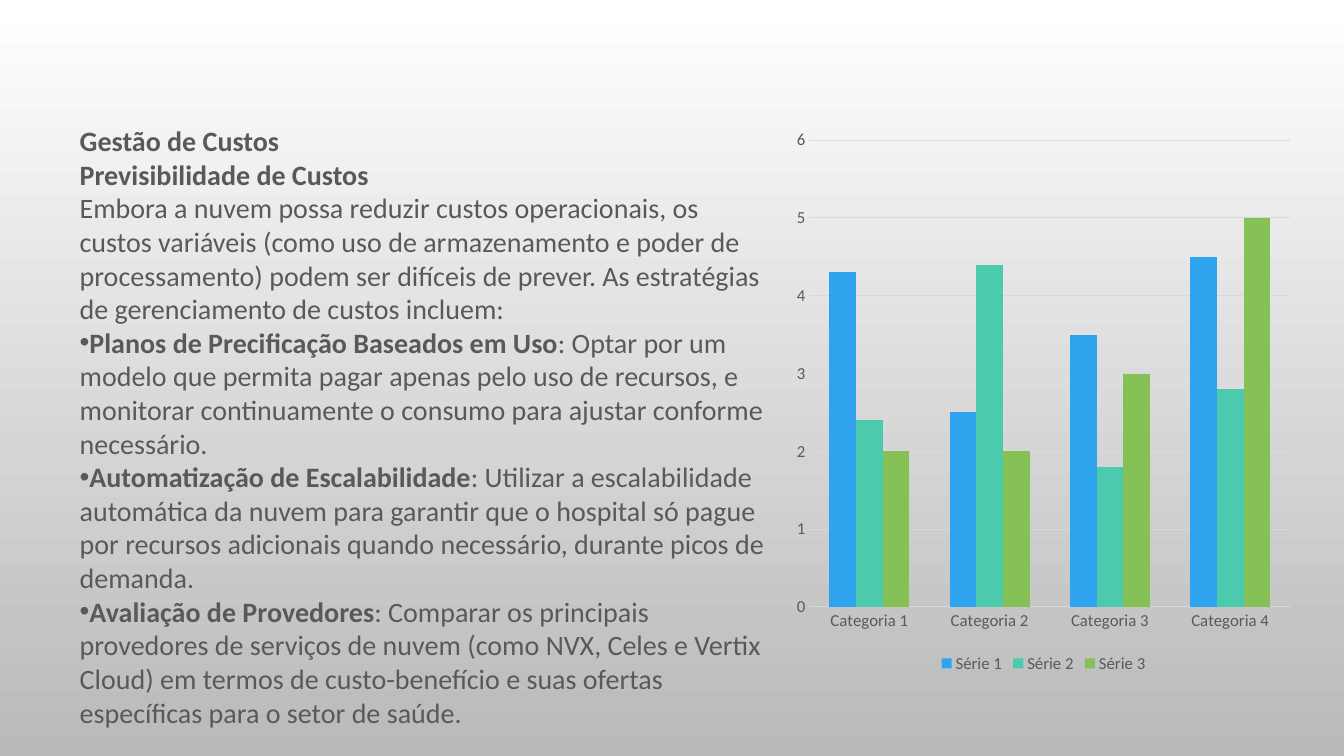
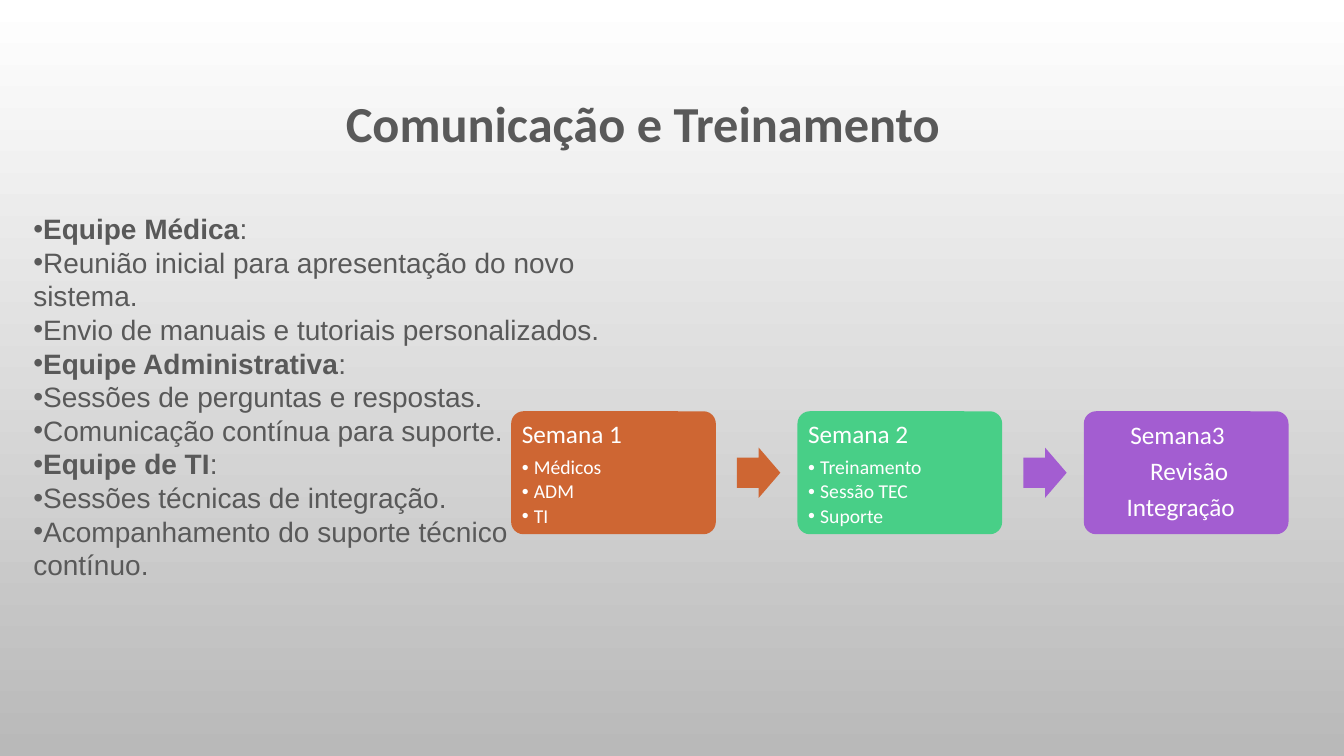
from dataclasses import dataclass

import pptx
import pptx.chart.data
import pptx.dml.color
import pptx.enum.chart
import pptx.enum.shapes
import pptx.enum.text
import pptx.oxml
import pptx.oxml.ns
import pptx.util
from pptx.util import Inches

RGB = pptx.dml.color.RGBColor.from_string
Pt = pptx.util.Pt
ALIGN = pptx.enum.text.PP_ALIGN
ANCHOR = pptx.enum.text.MSO_ANCHOR
SHAPE = pptx.enum.shapes.MSO_SHAPE


@dataclass(frozen=True)
class Theme:
    text: str = "595959"
    white: str = "FFFFFF"
    shade: str = "B9B9B9"
    grid: str = "D9D9D9"
    orange: str = "CE6633"
    green: str = "48CF87"
    purple: str = "A35DD1"
    series: tuple[str, ...] = ("2FA3EE", "4BCAAD", "86C157")
    font: str = "Calibri"
    list_font: str = "Arial"
    title: int = 36
    body: int = 20
    card: int = 18
    item: int = 14
    axis: int = 12


T = Theme()


@dataclass(frozen=True)
class Box:
    left: float
    top: float
    width: float
    height: float

    def emu(self) -> tuple[int, ...]:
        return tuple(Inches(v) for v in (self.left, self.top, self.width, self.height))


@dataclass(frozen=True)
class Line:
    """A paragraph: a bold lead, an optional break, then plain text."""
    bold: str = ""
    plain: str = ""
    bullet: bool = True
    split: bool = False


@dataclass(frozen=True)
class Card:
    fill: str
    heading: str
    items: tuple[str, ...]


COST_LINES = (
    Line("Previsibilidade de Custos",
         "Embora a nuvem possa reduzir custos operacionais, os custos variáveis (como uso de "
         "armazenamento e poder de processamento) podem ser difíceis de prever. As estratégias "
         "de gerenciamento de custos incluem:", bullet=False, split=True),
    Line("Planos de Precificação Baseados em Uso",
         ": Optar por um modelo que permita pagar apenas pelo uso de recursos, e monitorar "
         "continuamente o consumo para ajustar conforme necessário."),
    Line("Automatização de Escalabilidade",
         ": Utilizar a escalabilidade automática da nuvem para garantir que o hospital só pague "
         "por recursos adicionais quando necessário, durante picos de demanda."),
    Line("Avaliação de Provedores",
         ": Comparar os principais provedores de serviços de nuvem (como NVX, Celes e "
         "Vertix Cloud) em termos de custo-benefício e suas ofertas específicas para o setor "
         "de saúde."),
)
TEAM_LINES = (
    Line("Equipe Médica", ":"),
    Line(plain="Reunião inicial para apresentação do novo sistema."),
    Line(plain="Envio de manuais e tutoriais personalizados."),
    Line("Equipe Administrativa", ":"),
    Line(plain="Sessões de perguntas e respostas."),
    Line(plain="Comunicação contínua para suporte."),
    Line("Equipe de TI", ":"),
    Line(plain="Sessões técnicas de integração."),
    Line(plain="Acompanhamento do suporte técnico contínuo."),
)
CHART_DATA = {
    "Série 1": (4.3, 2.5, 3.5, 4.5),
    "Série 2": (2.4, 4.4, 1.8, 2.8),
    "Série 3": (2, 2, 3, 5),
}
CARDS = (
    Card(T.orange, "Semana 1", ("Médicos", "ADM", "TI")),
    Card(T.green, "Semana 2", ("Treinamento", "Sessão TEC", "Suporte")),
)
# Closing card: each line with its left indent
CLOSING_LINES = (("Semana3", 0), ("Revisão", 0.23), ("Integração", 0.06))
ARROW_FILLS = (T.orange, T.purple)
CARD_LEFT, CARD_TOP, CARD_W, CARD_H, CARD_STEP = 5.07, 4.08, 2.03, 1.22, 2.84
ARROW_OFFSET, ARROW_W, ARROW_H = 2.24, 0.43, 0.5


def style_font(font, size: float, color: str = T.text, name: str = T.font,
               bold: bool = False) -> None:
    font.size, font.name, font.bold = Pt(size), name, bold
    font.color.rgb = RGB(color)


def add_run(p, text: str, size: float, **fmt) -> None:
    r = p.add_run()
    r.text = text
    style_font(r.font, size, **fmt)


def indent(p, left: float = 0, first: float = 0, bullet: bool = False) -> None:
    pPr = p._p.get_or_add_pPr()
    pPr.set("marL", str(Inches(left)))
    pPr.set("indent", str(Inches(first)))
    ns = pptx.oxml.ns.nsdecls("a")
    marks = ([f'<a:buFont {ns} typeface="Arial"/>', f'<a:buChar {ns} char="•"/>']
             if bullet else [f"<a:buNone {ns}/>"])
    for xml in marks:
        pPr.append(pptx.oxml.parse_xml(xml))


def paragraphs(tf, count: int) -> list:
    return [tf.paragraphs[0]] + [tf.add_paragraph() for _ in range(count - 1)]


def place(sp, box: Box):
    """Move a placeholder and return its top-anchored text frame."""
    sp.left, sp.top, sp.width, sp.height = box.emu()
    tf = sp.text_frame
    tf.word_wrap = True
    tf.auto_size = pptx.enum.text.MSO_AUTO_SIZE.NONE
    tf.vertical_anchor = ANCHOR.TOP
    return tf


def set_title(s, text: str, box: Box, size: int = T.title) -> None:
    p = place(s.shapes.title, box).paragraphs[0]
    p.alignment = ALIGN.LEFT
    p.line_spacing = Pt(size * 1.2)
    add_run(p, text, size, bold=True)


def set_body(s, lines: tuple[Line, ...], box: Box, font: str = T.font) -> None:
    tf = place(s.placeholders[1], box)
    for p, line in zip(paragraphs(tf, len(lines)), lines):
        p.line_spacing = Pt(T.body * 1.2)
        p.space_before = Pt(0)
        indent(p, bullet=line.bullet)
        if line.bold:
            add_run(p, line.bold, T.body, name=font, bold=True)
        if line.split:
            p.add_line_break()
        add_run(p, line.plain, T.body, name=font)


def add_block(s, kind, box: Box, fill: str, adjustments: tuple[float, ...]):
    sp = s.shapes.add_shape(kind, *box.emu())
    sp.shadow.inherit = False
    sp.fill.solid()
    sp.fill.fore_color.rgb = RGB(fill)
    sp.line.fill.background()
    for i, value in enumerate(adjustments):
        sp.adjustments[i] = value
    return sp


def add_card(s, column: int, fill: str, anchor):
    """Draw an empty card in its column and return its text frame."""
    box = Box(CARD_LEFT + column * CARD_STEP, CARD_TOP, CARD_W, CARD_H)
    tf = add_block(s, SHAPE.ROUNDED_RECTANGLE, box, fill, (0.1,)).text_frame
    tf.word_wrap = True
    tf.vertical_anchor = anchor
    tf.margin_left = tf.margin_top = tf.margin_right = tf.margin_bottom = Inches(0.07)
    return tf


def card_line(p, text: str, size: int, after: float, align) -> None:
    p.alignment = align
    p.line_spacing = 0.9
    p.space_after = Pt(size * after)
    add_run(p, text, size, color=T.white)


def add_week_card(s, column: int, card: Card) -> None:
    tf = add_card(s, column, card.fill, ANCHOR.TOP)
    heading, *rows = paragraphs(tf, 1 + len(card.items))
    card_line(heading, card.heading, T.card, 0.35, ALIGN.LEFT)
    for p, item in zip(rows, card.items):
        card_line(p, item, T.item, 0.15, ALIGN.LEFT)
        indent(p, 0.12, -0.12, bullet=True)


def add_closing_card(s, column: int) -> None:
    tf = add_card(s, column, T.purple, ANCHOR.MIDDLE)
    tf.margin_right = Inches(0.24)
    for p, (text, left) in zip(paragraphs(tf, len(CLOSING_LINES)), CLOSING_LINES):
        card_line(p, text, T.card, 0.35, ALIGN.CENTER)
        indent(p, left)


def add_cost_chart(s, box: Box) -> None:
    data = pptx.chart.data.CategoryChartData()
    data.categories = [f"Categoria {n}" for n in range(1, 5)]
    for name, values in CHART_DATA.items():
        data.add_series(name, values)
    kind = pptx.enum.chart.XL_CHART_TYPE.COLUMN_CLUSTERED
    chart = s.shapes.add_chart(kind, *box.emu(), data).chart
    style_font(chart.font, T.axis)
    chart.has_title = False
    chart.has_legend = True
    chart.legend.position = pptx.enum.chart.XL_LEGEND_POSITION.BOTTOM
    chart.legend.include_in_layout = False
    style_font(chart.legend.font, T.axis)

    plot = chart.plots[0]
    plot.gap_width, plot.overlap, plot.vary_by_categories = 150, 0, False
    for series, color in zip(plot.series, T.series):
        series.format.fill.solid()
        series.format.fill.fore_color.rgb = RGB(color)

    for axis in (chart.category_axis, chart.value_axis):
        axis.major_tick_mark = pptx.enum.chart.XL_TICK_MARK.NONE
        axis.format.line.fill.background()
        style_font(axis.tick_labels.font, T.axis)
    value_axis = chart.value_axis
    value_axis.minimum_scale, value_axis.maximum_scale, value_axis.major_unit = 0, 6, 1
    grid = value_axis.major_gridlines.format.line
    grid.width = Pt(0.75)
    grid.color.rgb = RGB(T.grid)


def set_background(master) -> None:
    fill = master.background.fill
    fill.gradient()
    fill.gradient_angle = 270
    for stop, color in zip(fill.gradient_stops, (T.white, T.shade)):
        stop.color.rgb = RGB(color)


def build_costs(s) -> None:
    set_title(s, "Gestão de Custos", Box(0.69, 1.18, 7.11, 0.43), size=T.body)
    set_body(s, COST_LINES, Box(0.69, 1.51, 7.11, 5.83))
    add_cost_chart(s, Box(7.8, 1.18, 5.1, 5.54))


def build_training(s) -> None:
    set_title(s, "Comunicação e Treinamento", Box(3.33, 0.86, 6.66, 0.71))
    set_body(s, TEAM_LINES, Box(0.23, 2.05, 6.08, 4.11), font=T.list_font)
    for column, card in enumerate(CARDS):
        add_week_card(s, column, card)
    add_closing_card(s, len(CARDS))
    for column, fill in enumerate(ARROW_FILLS):
        box = Box(CARD_LEFT + ARROW_OFFSET + column * CARD_STEP,
                  CARD_TOP + (CARD_H - ARROW_H) / 2, ARROW_W, ARROW_H)
        add_block(s, SHAPE.RIGHT_ARROW, box, fill, (0.6, 0.5))


def main() -> None:
    prs = pptx.Presentation()
    prs.slide_width, prs.slide_height = Inches(13.33), Inches(7.5)
    set_background(prs.slide_master)
    for build in (build_costs, build_training):
        build(prs.slides.add_slide(prs.slide_layouts[1]))
    prs.save("out.pptx")


if __name__ == "__main__":
    main()
